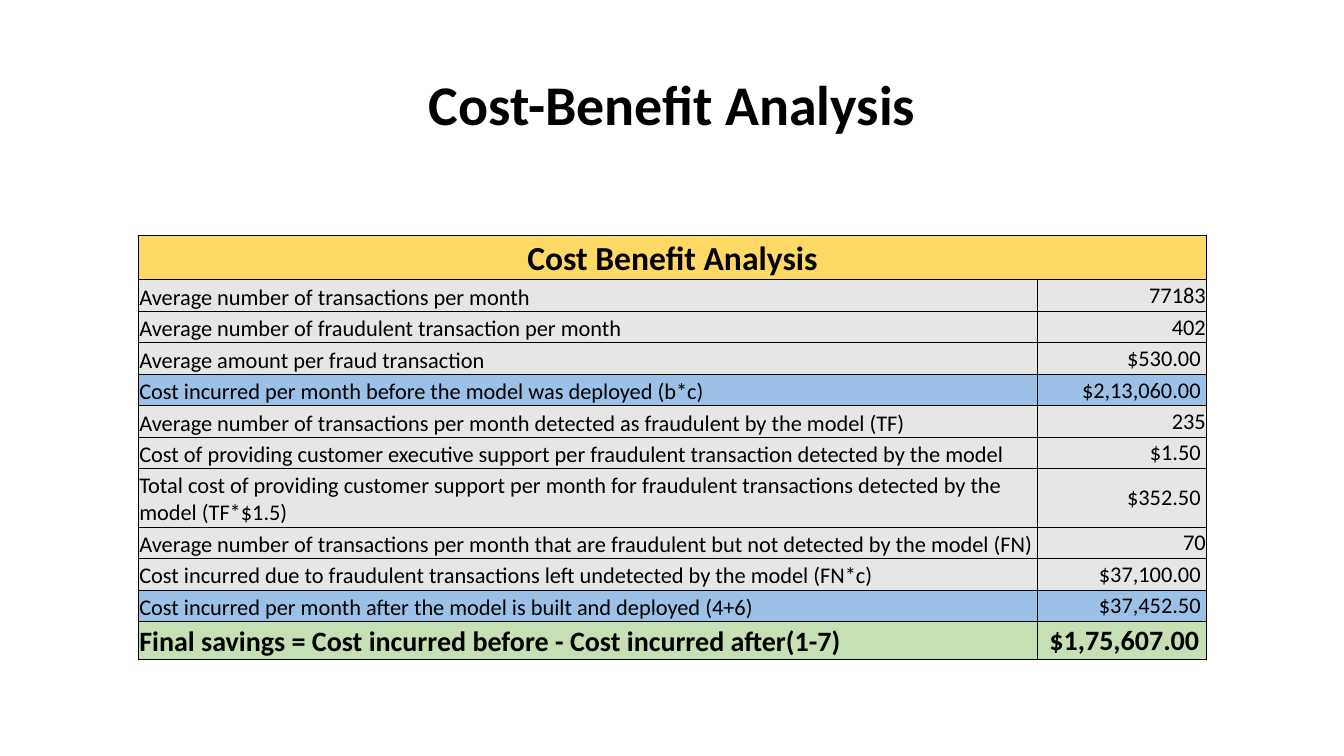
from lxml.etree import SubElement
from pptx import Presentation
from pptx.dml.color import RGBColor
from pptx.enum.shapes import MSO_SHAPE
from pptx.enum.text import MSO_ANCHOR, PP_ALIGN
from pptx.oxml.ns import qn
from pptx.util import Pt

BLACK = RGBColor(0x00, 0x00, 0x00)
WHITE = RGBColor(0xFF, 0xFF, 0xFF)
GOLD = RGBColor(0xFF, 0xD9, 0x66)
GREY = RGBColor(0xE7, 0xE6, 0xE6)
BLUE = RGBColor(0x9B, 0xC2, 0xE6)
GREEN = RGBColor(0xC6, 0xE0, 0xB4)
FONT = "Calibri"
COLS = (642.2, 121)
HEAD = "Cost Benefit Analysis"

COSTS = [
    ("Average number of transactions per month", "77183", GREY),
    ("Average number of fraudulent transaction per month", "402", GREY),
    ("Average amount per fraud transaction", "$530.00 ", GREY),
    ("Cost incurred per month before the model was deployed (b*c)", "$2,13,060.00 ", BLUE),
    ("Average number of transactions per month detected as fraudulent by the model (TF)", "235", GREY),
    ("Cost of providing customer executive support per fraudulent transaction detected by the model",
     "$1.50 ", GREY),
    ("Total cost of providing customer support per month for fraudulent transactions detected by the "
     "model (TF*$1.5)", "$352.50 ", GREY),
    ("Average number of transactions per month that are fraudulent but not detected by the model (FN)",
     "70", GREY),
    ("Cost incurred due to fraudulent transactions left undetected by the model (FN*c)",
     "$37,100.00 ", GREY),
    ("Cost incurred per month after the model is built and deployed (4+6)", "$37,452.50 ", BLUE),
]
TOTAL = ("Final savings = Cost incurred before - Cost incurred after(1-7)", "$1,75,607.00 ")


def write(frame, text, size=16, bold=False, align=PP_ALIGN.LEFT, space=None):
    """Put one formatted paragraph in a text frame."""
    frame.word_wrap = True
    para = frame.paragraphs[0]
    para.alignment = align
    para.line_spacing = space
    run = para.add_run()
    run.text = text
    run.font.name = FONT
    run.font.size = Pt(size)
    run.font.bold = bold
    run.font.color.rgb = BLACK


def add_band(slide):
    """Add the plain band behind the title."""
    band = slide.shapes.add_shape(MSO_SHAPE.RECTANGLE, Pt(0), Pt(0), Pt(960), Pt(134))
    band.shadow.inherit = False
    band.fill.solid()
    band.fill.fore_color.rgb = WHITE
    band.line.fill.background()


def add_title(slide, text):
    """Add the centred slide title."""
    box = slide.shapes.add_textbox(Pt(90), Pt(31), Pt(780), Pt(91.4))
    box.text_frame.vertical_anchor = MSO_ANCHOR.MIDDLE
    write(box.text_frame, text, size=40, bold=True, align=PP_ALIGN.CENTER, space=0.9)


def add_edges(cell):
    """Draw a thin black border on all sides of a cell."""
    props = cell._tc.get_or_add_tcPr()
    for side in ("lnL", "lnR", "lnT", "lnB"):
        edge = SubElement(props, qn(f"a:{side}"), w=str(Pt(0.5)))
        fill = SubElement(edge, qn("a:solidFill"))
        SubElement(fill, qn("a:srgbClr"), val=str(BLACK))


def style(cell, color, anchor=MSO_ANCHOR.BOTTOM):
    """Set the borders, fill, margins and anchor of a cell."""
    add_edges(cell)
    cell.fill.solid()
    cell.fill.fore_color.rgb = color
    cell.margin_left = cell.margin_right = cell.margin_top = Pt(0.72)
    cell.margin_bottom = Pt(0)
    cell.vertical_anchor = anchor


def fill_row(table, row, label, value, color, **form):
    """Fill one row with a label and its value."""
    left, right = table.cell(row, 0), table.cell(row, 1)
    style(left, color)
    style(right, color, MSO_ANCHOR.MIDDLE)
    write(left.text_frame, label, **form)
    write(right.text_frame, value, align=PP_ALIGN.RIGHT, **form)


def add_costs(slide):
    """Add the table of costs and savings."""
    highs = [31.8] + [22.5] * 6 + [41.8] + [22.5] * 3 + [27.1]
    frame = slide.shapes.add_table(len(highs), len(COLS), Pt(98.8), Pt(168),
                                   Pt(sum(COLS)), Pt(sum(highs)))
    table = frame.table
    table.first_row = table.horz_banding = False
    for col, width in zip(table.columns, COLS):
        col.width = Pt(width)
    for row, high in zip(table.rows, highs):
        row.height = Pt(high)
    head, rest = table.cell(0, 0), table.cell(0, 1)
    head.merge(rest)
    style(head, GOLD)
    style(rest, GOLD)
    write(head.text_frame, HEAD, size=24, bold=True, align=PP_ALIGN.CENTER)
    for row, cost in enumerate(COSTS, 1):
        fill_row(table, row, *cost)
    fill_row(table, len(highs) - 1, *TOTAL, GREEN, size=20, bold=True)


def main():
    """Build and save the slide."""
    deck = Presentation()
    deck.slide_width, deck.slide_height = Pt(960), Pt(540)
    slide = deck.slides.add_slide(deck.slide_layouts[6])
    add_band(slide)
    add_title(slide, "Cost-Benefit Analysis")
    add_costs(slide)
    deck.save("out.pptx")


if __name__ == "__main__":
    main()
